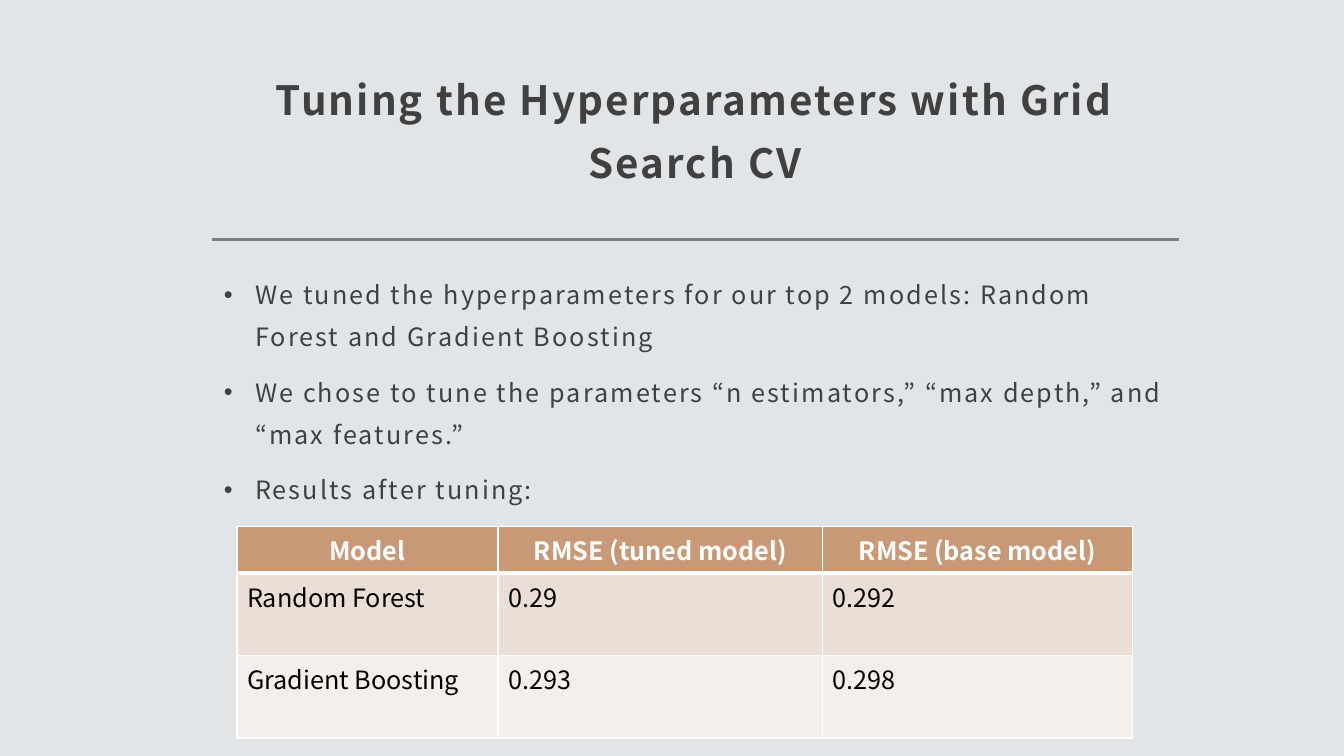
import pptx
import pptx.dml.color
import pptx.enum.text
import pptx.oxml.ns
import pptx.util
from lxml import etree

Inches = pptx.util.Inches
Pt = pptx.util.Pt
PP_ALIGN = pptx.enum.text.PP_ALIGN
ANCHOR = pptx.enum.text.MSO_ANCHOR
qn = pptx.oxml.ns.qn

FONT = "Noto Sans CJK JP"
INK = "404040"
WHITE = "FFFFFF"
POINTS = [
    "We tuned the hyperparameters for our top 2 models: Random Forest and Gradient Boosting",
    "We chose to tune the parameters “n estimators,” “max depth,” and “max features.”",
    "Results after tuning:",
]
RESULTS = [
    ["Model", "RMSE (tuned model)", "RMSE (base model)"],
    ["Random Forest", "0.29", "0.292"],
    ["Gradient Boosting", "0.293", "0.298"],
]
ROW_FILLS = ["C79977", "EBDED6", "F5EFEC"]
COLUMN_WIDTHS = [2.59, 3.22, 3.07]
ROW_HEIGHTS = [0.46, 0.82, 0.82]


def rgb(color):
    """Turn a hex string into a colour."""
    return pptx.dml.color.RGBColor.from_string(color)


def style(paragraph, size, color, bold=False):
    """Set the font of a whole paragraph."""
    font = paragraph.font
    font.name, font.size, font.bold = FONT, Pt(size), bold
    font.color.rgb = rgb(color)


def track(paragraph, points):
    """Widen the letter spacing of a paragraph."""
    for run in paragraph.runs:
        run._r.get_or_add_rPr().set("spc", str(round(points * 100)))


def place(holder, box, anchor):
    """Move a placeholder into its box and return its text frame."""
    holder.left, holder.top, holder.width, holder.height = map(Inches, box)
    frame = holder.text_frame
    frame.word_wrap = True
    frame.auto_size = pptx.enum.text.MSO_AUTO_SIZE.NONE
    frame.vertical_anchor = anchor
    frame.margin_left = frame.margin_right = frame.margin_top = Inches(0.12)
    frame.margin_bottom = Inches(0.1)
    return frame


def add_heading(slide, box):
    """Fill the title and draw the rule beneath it."""
    frame = place(slide.shapes.title, box, ANCHOR.BOTTOM)
    frame.text = "Tuning the Hyperparameters with Grid Search CV"
    heading = frame.paragraphs[0]
    heading.alignment = PP_ALIGN.CENTER
    heading.line_spacing = 1.3
    style(heading, 28.8, INK, True)
    track(heading, 1.5)

    left, top, width, height = box
    rule_y = Inches(top + height + 0.43)
    rule = slide.shapes.add_connector(
        pptx.enum.shapes.MSO_CONNECTOR.STRAIGHT,
        Inches(left), rule_y, Inches(left + width), rule_y)
    rule.line.color.rgb = rgb("808080")
    rule.line.width = Pt(2)
    etree.SubElement(rule._element.spPr, qn("a:effectLst"))


def add_points(slide, box):
    """Fill the body with the bulleted points."""
    frame = place(slide.placeholders[1], box, ANCHOR.TOP)
    frame.text = "\n".join(POINTS)
    for point in frame.paragraphs:
        point.line_spacing = 1.4
        point.space_before = Pt(9.3)
        style(point, 18, INK)
        track(point, 1.5)
        properties = point._p.get_or_add_pPr()
        properties.set("marL", str(Inches(0.31)))
        properties.set("indent", str(-Inches(0.31)))


def add_border(cell, side, points):
    """Draw one white side of a cell."""
    border = etree.SubElement(
        cell._tc.get_or_add_tcPr(), qn("a:ln" + side), w=str(Pt(points)))
    fill = etree.SubElement(border, qn("a:solidFill"))
    etree.SubElement(fill, qn("a:srgbClr"), val=WHITE)


def add_results(slide, left, top):
    """Add the table of errors before and after tuning."""
    table = slide.shapes.add_table(
        len(ROW_HEIGHTS), len(COLUMN_WIDTHS), Inches(left), Inches(top),
        Inches(sum(COLUMN_WIDTHS)), Inches(sum(ROW_HEIGHTS))).table
    table.first_row = table.horz_banding = False
    for column, width in zip(table.columns, COLUMN_WIDTHS):
        column.width = Inches(width)
    for index, (row, height) in enumerate(zip(table.rows, ROW_HEIGHTS)):
        row.height = Inches(height)
        header = index == 0
        for cell, text in zip(row.cells, RESULTS[index]):
            cell.text = text
            entry = cell.text_frame.paragraphs[0]
            entry.alignment = PP_ALIGN.CENTER if header else PP_ALIGN.LEFT
            style(entry, 18, WHITE if header else "000000", header)
            for side in "LRTB":
                thick = (header and side == "B") or (index == 1 and side == "T")
                add_border(cell, side, 3 if thick else 1)
            cell.fill.solid()
            cell.fill.fore_color.rgb = rgb(ROW_FILLS[index])


def main():
    """Build the slide and save it."""
    deck = pptx.Presentation()
    deck.slide_width, deck.slide_height = Inches(13.33), Inches(7.5)
    slide = deck.slides.add_slide(deck.slide_layouts[1])
    slide.background.fill.solid()
    slide.background.fill.fore_color.rgb = rgb("E2E5E8")
    add_heading(slide, (2.1, 0.48, 9.59, 1.47))
    add_points(slide, (2.1, 2.53, 9.59, 3.99))
    add_results(slide, 2.35, 5.22)
    deck.save("out.pptx")


if __name__ == "__main__":
    main()
